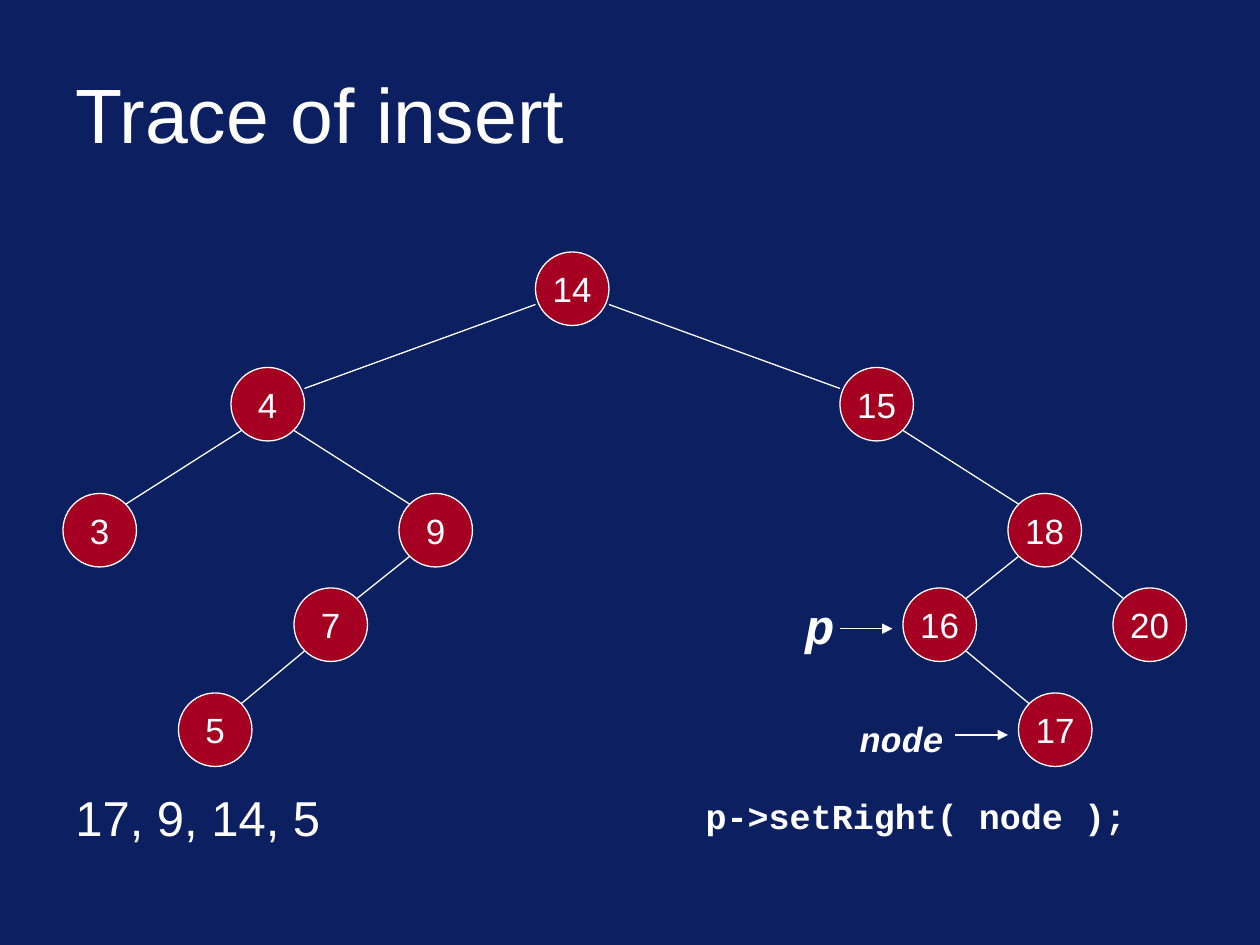
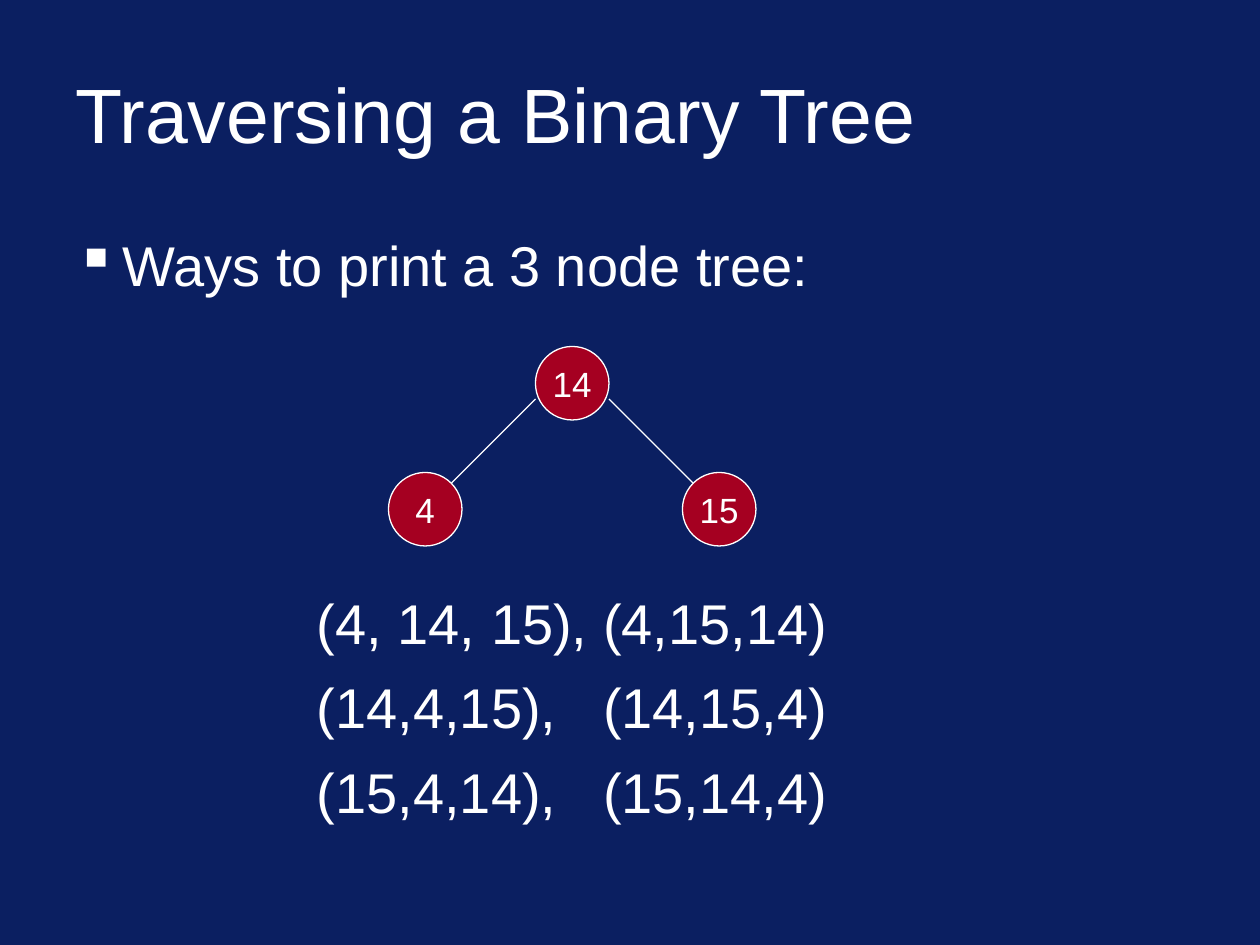
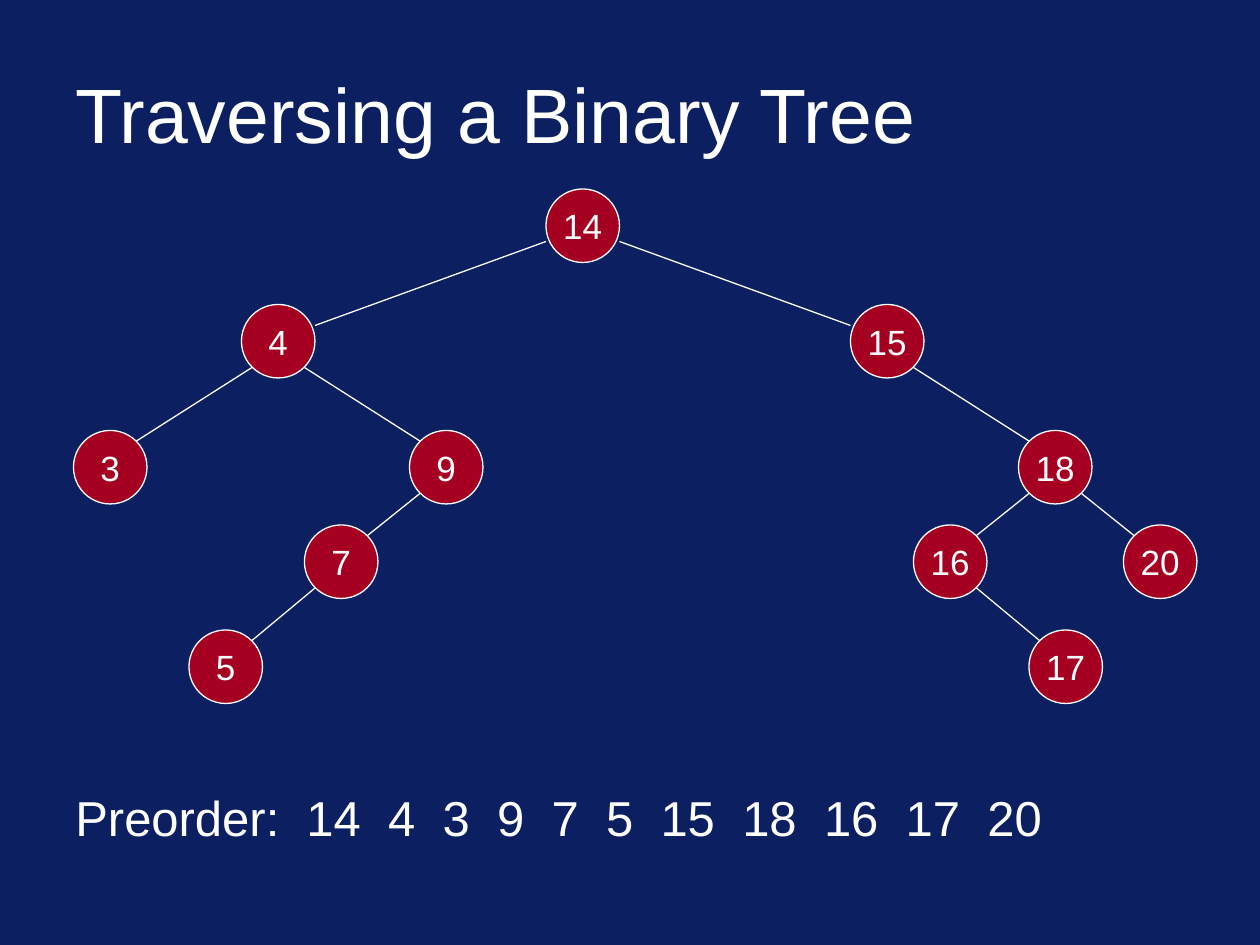
from lxml import etree
from pptx import Presentation
from pptx import util as u
from pptx.dml.color import RGBColor
from pptx.enum import shapes, text
from pptx.oxml import ns

# Shared look
PX = 9525  # EMU in one px, 96 px to the inch
NAVY = RGBColor(0x0B, 0x1F, 0x61)
RED = RGBColor(0xA5, 0x00, 0x21)
WHITE = RGBColor(0xFF, 0xFF, 0xFF)
SANS, MONO = "Arial", "Courier New"
NODE = 56       # diameter of a tree node
CORNER = 8      # how far an edge end sits inside the node's frame
WIDE = 150      # edges spanning more than this meet the child at its side
DIGIT = 0.556   # width of a digit, in ems

# Trees: value -> (left, top), then (parent, child) edges; the first node is the root
SEARCH_TREE = {
    "14": (408, 192), "15": (640, 280), "4": (176, 280), "9": (304, 376),
    "7": (224, 448), "18": (768, 376), "3": (48, 376), "5": (136, 528),
    "16": (688, 448), "20": (848, 448), "17": (776, 528),
}
SEARCH_EDGES = [
    ("14", "15"), ("14", "4"), ("4", "9"), ("9", "7"), ("15", "18"),
    ("4", "3"), ("7", "5"), ("18", "16"), ("18", "20"), ("16", "17"),
]
SMALL_TREE = {"14": (408, 264), "15": (520, 360), "4": (296, 360)}
SMALL_EDGES = [("14", "15"), ("14", "4")]

# Code labels: text, frame, size, italic
CODE_LABELS = [
    ("p", (604, 449, 41, 55), 28, True),
    ("p->setRight( node );", (528, 600, 340, 42), 20, False),
    ("node", (645, 542, 84, 42), 20, True),
]
POINTERS = [((640, 479), (680, 479)), ((728, 560), (768, 560))]

PRINT_ORDERS = [
    ("(4, 14, 15),", "(4,15,14)"),
    ("(14,4,15),", "(14,15,4)"),
    ("(15,4,14),", "(15,14,4)"),
]
PREORDER = ["14", "4", "3", "9", "7", "5", "15", "18", "16", "17", "20"]
FOOT_FRAME = (48, 592, 864, 72)


def add_tabs(paragraph, stops):
    tab_list = etree.SubElement(paragraph._p.get_or_add_pPr(), ns.qn("a:tabLst"))
    for stop in stops:
        etree.SubElement(tab_list, ns.qn("a:tab"), pos=str(round(stop * PX)), algn="l")


def add_bullet(paragraph, hang):
    properties = paragraph._p.get_or_add_pPr()
    properties.set("marL", str(hang * PX))
    properties.set("indent", str(-hang * PX))
    etree.SubElement(properties, ns.qn("a:buChar"), char="▪")


def style(paragraph, size, font=SANS, bold=False, italic=False):
    for run in paragraph.runs:
        run.font.name, run.font.size = font, u.Pt(size)
        run.font.bold, run.font.italic = bold, italic
        run.font.color.rgb = WHITE


def add_text(slide, frame, lines, size, top_inset=5, wrap=True, tabs=(), bullet=0, **look):
    box = slide.shapes.add_textbox(*(length * PX for length in frame))
    text_frame = box.text_frame
    text_frame.word_wrap = wrap
    text_frame.margin_top = top_inset * PX
    text_frame.text = "\n".join(lines)
    for index, paragraph in enumerate(text_frame.paragraphs):
        if tabs:
            add_tabs(paragraph, tabs)
        if bullet:
            add_bullet(paragraph, bullet)
        if index:
            paragraph.space_before = u.Pt(10)
        style(paragraph, size, **look)
    return text_frame


def add_line(slide, start, end, arrow=False):
    line = slide.shapes.add_connector(
        shapes.MSO_CONNECTOR.STRAIGHT, *(length * PX for length in (*start, *end)))
    line.line.color.rgb = WHITE
    line.line.width = u.Pt(0.75)
    if arrow:
        etree.SubElement(line.line._get_or_add_ln(), ns.qn("a:tailEnd"), type="triangle")
    etree.SubElement(line._element.spPr, ns.qn("a:effectLst"))


def add_node(slide, value, left, top):
    node = slide.shapes.add_shape(
        shapes.MSO_SHAPE.OVAL, left * PX, top * PX, NODE * PX, NODE * PX)
    node.shadow.inherit = False
    node.fill.solid()
    node.fill.fore_color.rgb = RED
    node.line.color.rgb = WHITE
    node.line.width = u.Pt(0.75)
    text_frame = node.text_frame
    text_frame.word_wrap = False
    text_frame.vertical_anchor = text.MSO_ANCHOR.MIDDLE
    text_frame.text = value
    text_frame.paragraphs[0].alignment = text.PP_ALIGN.CENTER
    style(text_frame.paragraphs[0], 20)


def add_tree(slide, nodes, edges, shift=(0, 0)):
    places = {value: (left + shift[0], top + shift[1])
              for value, (left, top) in nodes.items()}
    root = next(iter(nodes))
    for value, place in places.items():
        add_node(slide, value, *place)
    for parent, child in edges:
        (left, top), (child_left, child_top) = places[parent], places[child]
        # Insets of both ends; the root's edges leave from its sides
        inset, drop = (0, 40) if parent == root else (CORNER, NODE - CORNER)
        child_inset, child_drop = (CORNER, CORNER)
        if abs(child_left - left) > WIDE:
            child_inset, child_drop = (0, 16)
        if child_left > left:
            start_x, end_x = left + NODE - inset, child_left + child_inset
        else:
            start_x, end_x = left + inset, child_left + NODE - child_inset
        add_line(slide, (start_x, top + drop), (end_x, child_top + child_drop))


def add_slide(presentation, title):
    slide = presentation.slides.add_slide(presentation.slide_layouts[6])
    heading = add_text(slide, (48, 38, 864, 96), [title], 44)
    heading.vertical_anchor = text.MSO_ANCHOR.MIDDLE
    return slide


def insert_slide(presentation):
    slide = add_slide(presentation, "Trace of insert")
    add_text(slide, FOOT_FRAME, ["17, 9, 14, 5"], 28, top_inset=8)
    add_tree(slide, SEARCH_TREE, SEARCH_EDGES)
    for label, frame, size, italic in CODE_LABELS:
        code = add_text(slide, frame, [label], size, wrap=False,
                        font=MONO, bold=True, italic=italic)
        code.paragraphs[0].alignment = text.PP_ALIGN.CENTER
    for start, end in POINTERS:
        add_line(slide, start, end, arrow=True)


def print_orders_slide(presentation):
    slide = add_slide(presentation, "Traversing a Binary Tree")
    add_text(slide, (48, 168, 864, 96), ["Ways to print a 3 node tree:"], 32,
             top_inset=8, bullet=36)
    add_tree(slide, SMALL_TREE, SMALL_EDGES)
    add_text(slide, (232, 440, 544, 216), ["\t".join(pair) for pair in PRINT_ORDERS],
             32, top_inset=8, tabs=[218])


def preorder_slide(presentation):
    slide = add_slide(presentation, "Traversing a Binary Tree")
    # Each stop follows the width of the value before it plus one digit of gap
    size = 28
    digit = size * DIGIT * u.Pt(1) / PX
    stops = [176]
    for value in PREORDER[:-1]:
        stops.append(stops[-1] + (len(value) + 1) * digit)
    add_text(slide, FOOT_FRAME, ["\t".join(["Preorder:", *PREORDER])], size,
             top_inset=8, tabs=stops)
    add_tree(slide, SEARCH_TREE, SEARCH_EDGES, shift=(8, -48))


def main():
    presentation = Presentation()
    presentation.slide_width, presentation.slide_height = 960 * PX, 720 * PX
    background = presentation.slide_master.background.fill
    background.solid()
    background.fore_color.rgb = NAVY
    insert_slide(presentation)
    print_orders_slide(presentation)
    preorder_slide(presentation)
    presentation.save("out.pptx")


if __name__ == "__main__":
    main()
